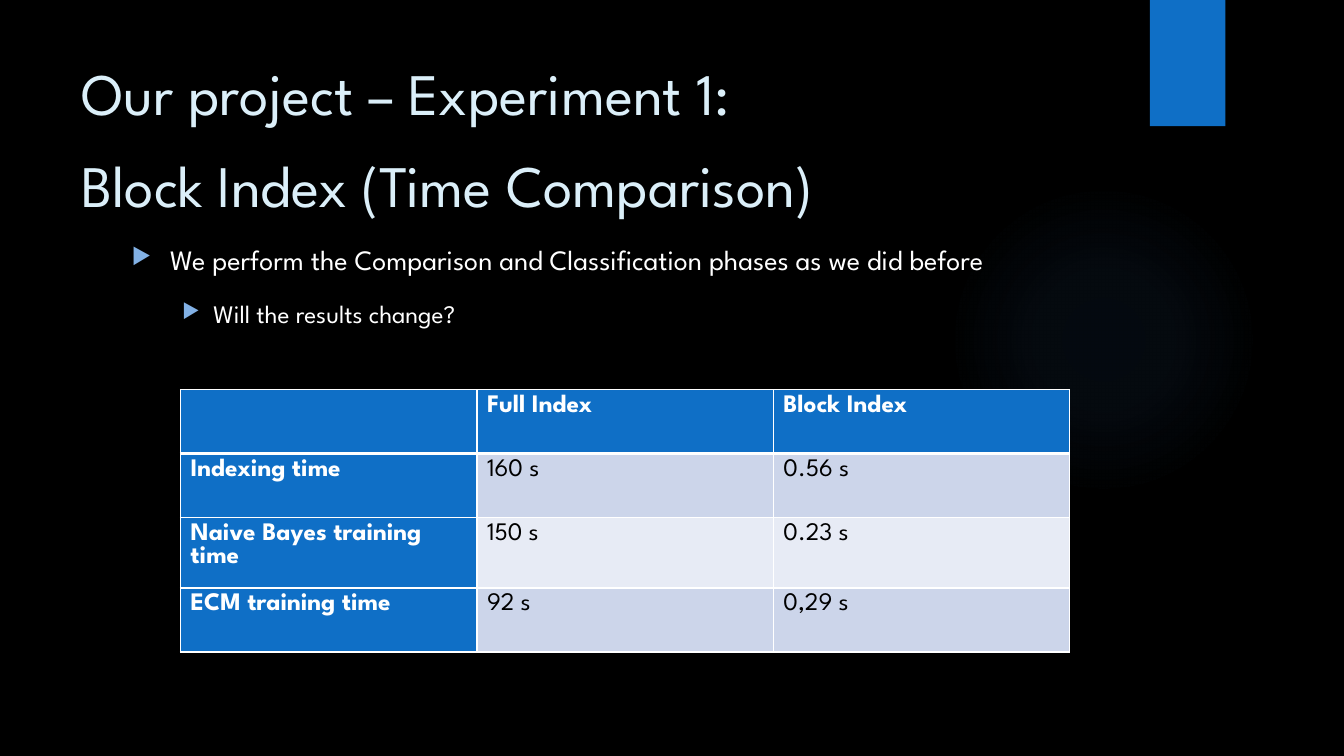
"""Build the time comparison slide for the block index experiment."""
from dataclasses import dataclass

from lxml import etree
from pptx import Presentation
from pptx import util as u
from pptx.dml.color import RGBColor
from pptx.enum import shapes, text
from pptx.oxml import ns, parse_xml


@dataclass(frozen=True)
class Theme:
    """Colours, typeface and type sizes of the slide."""
    font: str = "League Spartan"
    background: str = "000000"
    accent: str = "0F6FC6"
    glow: str = "448AD7"
    bullet: str = "82B1E5"
    title: str = "DBEFF9"
    light: str = "FFFFFF"
    dark: str = "000000"
    bands: tuple = ("CCD5EA", "E7EBF5")
    title_size: int = 42
    body_sizes: tuple = (20, 18)
    table_size: int = 18


THEME = Theme()
TITLE = "Our project – Experiment 1:\nBlock Index (Time Comparison)"
BULLETS = (
    (0, "We perform the Comparison and Classification phases as we did before"),
    (1, "Will the results change?"),
)
BULLET_INDENTS = ((0.97, 0.97), (2.06, 0.79))
TIMES = (
    ("", "Full Index", "Block Index"),
    ("Indexing time", "160 s", "0.56 s"),
    ("Naive Bayes training time", "150 s", "0.23 s"),
    ("ECM training time", "92 s", "0,29 s"),
)


def rgb(value):
    """Turn a hex string into a colour."""
    return RGBColor.from_string(value)


def box(left, top, width, height):
    """Convert a frame in centimetres to lengths."""
    return [u.Cm(value) for value in (left, top, width, height)]


def style(paragraph, size, color, bold=False):
    """Set the font of a whole paragraph."""
    font = paragraph.font
    font.name, font.size, font.bold = THEME.font, u.Pt(size), bold
    font.color.rgb = rgb(color)


def add_plain_shape(slide, kind, frame):
    """Add a shape without outline or shadow."""
    shape = slide.shapes.add_shape(kind, *box(*frame))
    shape.shadow.inherit = False
    shape.line.fill.background()
    return shape


def add_glow(slide, frame):
    """Add a faint circle that fades out towards its edge."""
    shape = add_plain_shape(slide, shapes.MSO_SHAPE.OVAL, frame)
    stops = "".join(
        f'<a:gs pos="{position}000"><a:srgbClr val="{THEME.glow}">'
        f'<a:alpha val="{alpha}000"/></a:srgbClr></a:gs>'
        for position, alpha in ((0, 7), (36, 6), (69, 0))
    )
    gradient = parse_xml(
        f'<a:gradFill {ns.nsdecls("a")}><a:gsLst>{stops}</a:gsLst>'
        '<a:path path="circle"><a:fillToRect l="50000" t="50000" '
        'r="50000" b="50000"/></a:path></a:gradFill>'
    )
    shape.element.spPr.find(ns.qn("a:prstGeom")).addnext(gradient)


def add_tab(slide, frame):
    """Add the accent tab at the top edge."""
    shape = add_plain_shape(slide, shapes.MSO_SHAPE.RECTANGLE, frame)
    shape.fill.solid()
    shape.fill.fore_color.rgb = rgb(THEME.accent)


def add_text_frame(slide, frame, anchor):
    """Add a wrapping text box and return its text frame."""
    text_frame = slide.shapes.add_textbox(*box(*frame)).text_frame
    text_frame.word_wrap = True
    text_frame.vertical_anchor = anchor
    return text_frame


def add_title(slide, frame):
    """Add the two-line title."""
    text_frame = add_text_frame(slide, frame, text.MSO_ANCHOR.MIDDLE)
    paragraph = text_frame.paragraphs[0]
    paragraph.text = TITLE
    paragraph.line_spacing = 1.3
    style(paragraph, THEME.title_size, THEME.title)


def set_bullet(paragraph, margin, hanging):
    """Give a paragraph a triangle bullet and a hanging indent."""
    properties = paragraph._p.get_or_add_pPr()
    properties.set("marL", str(u.Cm(margin)))
    properties.set("indent", str(-u.Cm(hanging)))
    color = etree.SubElement(properties, ns.qn("a:buClr"))
    etree.SubElement(color, ns.qn("a:srgbClr"), val=THEME.bullet)
    etree.SubElement(properties, ns.qn("a:buSzPct"), val="80000")
    etree.SubElement(properties, ns.qn("a:buChar"), char="▶")


def add_bullets(slide, frame):
    """Add the bulleted body text."""
    text_frame = add_text_frame(slide, frame, text.MSO_ANCHOR.TOP)
    for index, (level, wording) in enumerate(BULLETS):
        paragraph = text_frame.add_paragraph() if index else text_frame.paragraphs[0]
        paragraph.text, paragraph.level = wording, level
        paragraph.line_spacing = 1.3
        paragraph.space_before = u.Pt(10)
        set_bullet(paragraph, *BULLET_INDENTS[level])
        style(paragraph, THEME.body_sizes[level], THEME.light)


def set_borders(cell, widths):
    """Draw the left, right, top and bottom cell borders."""
    properties = cell._tc.get_or_add_tcPr()
    for side, width in zip("LRTB", widths):
        line = etree.SubElement(properties, ns.qn(f"a:ln{side}"), w=str(u.Pt(width)))
        fill = etree.SubElement(line, ns.qn("a:solidFill"))
        etree.SubElement(fill, ns.qn("a:srgbClr"), val=THEME.light)


def add_time_table(slide, left, top, column_width, row_height):
    """Add the table of times with a header row and header column."""
    rows, columns = len(TIMES), len(TIMES[0])
    frame = box(left, top, column_width * columns, row_height * rows)
    table = slide.shapes.add_table(rows, columns, *frame).table
    for row, values in enumerate(TIMES):
        for column, value in enumerate(values):
            cell = table.cell(row, column)
            heading = row == 0 or column == 0
            set_borders(cell, (1, 1, 3 if row == 1 else 1, 3 if row == 0 else 1))
            cell.fill.solid()
            cell.fill.fore_color.rgb = rgb(
                THEME.accent if heading else THEME.bands[(row - 1) % 2]
            )
            cell.text = value
            style(cell.text_frame.paragraphs[0], THEME.table_size,
                  THEME.light if heading else THEME.dark, heading)


def main():
    """Build and save the slide."""
    presentation = Presentation()
    presentation.slide_width, presentation.slide_height = u.Cm(33.87), u.Cm(19.05)
    slide = presentation.slides.add_slide(presentation.slide_layouts[6])
    slide.background.fill.solid()
    slide.background.fill.fore_color.rgb = rgb(THEME.background)
    add_glow(slide, (23.9, 4.65, 7.82, 7.82))
    add_tab(slide, (28.98, 0, 1.9, 3.18))
    add_title(slide, (1.8, 1.27, 26.14, 3.89))
    add_bullets(slide, (3.07, 5.72, 24.84, 11.66))
    add_time_table(slide, 4.55, 9.82, 7.47, 1.61)
    presentation.save("out.pptx")


if __name__ == "__main__":
    main()
